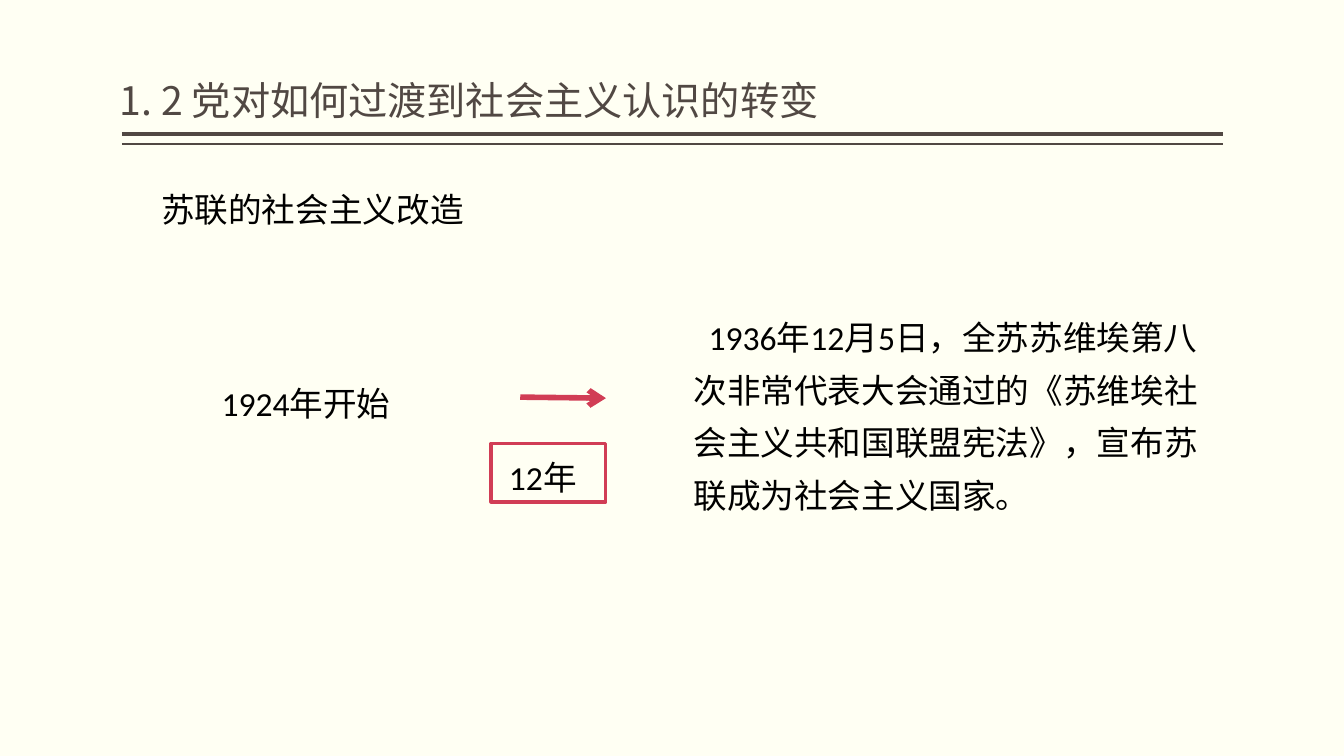
from lxml.etree import SubElement
from pptx import Presentation
from pptx.dml.color import RGBColor
from pptx.enum.shapes import MSO_CONNECTOR, MSO_SHAPE
from pptx.enum.text import MSO_ANCHOR, PP_ALIGN
from pptx.oxml.ns import qn
from pptx.util import Inches, Pt

INK, RED, PAPER, BLACK = "514843", "D13D55", "FFFFF3", "000000"
LATIN, HAN = "Calibri", "Noto Sans CJK SC"


def color(code):
    return RGBColor.from_string(code)


def write(shape, text, size=24, font=LATIN, fill=BLACK, space=1.3,
          indent=0, anchor=MSO_ANCHOR.TOP, inset=0.1):
    frame = shape.text_frame
    frame.word_wrap = True
    frame.vertical_anchor = anchor
    frame.margin_left = frame.margin_right = Inches(inset)
    para = frame.paragraphs[0]
    para.alignment = PP_ALIGN.LEFT
    para.line_spacing = space
    para._p.get_or_add_pPr().set("indent", str(Inches(indent)))
    run = para.add_run()
    run.text = text
    run.font.size = Pt(size)
    run.font.name = font
    run.font.color.rgb = color(fill)
    SubElement(run._r.get_or_add_rPr(), qn("a:ea"), typeface=HAN)


class Board:
    """Draws on one slide with a grid of tenth-inch columns and rows."""

    def __init__(self, deck):
        self.cell = Inches(0.1)
        self.slide = deck.slides.add_slide(deck.slide_layouts[6])
        back = self.slide.background.fill
        back.solid()
        back.fore_color.rgb = color(PAPER)

    def grid(self, *cells):
        return [round(n * self.cell) for n in cells]

    def label(self, text, *place, **style):
        write(self.slide.shapes.add_textbox(*self.grid(*place)), text, **style)

    def box(self, text, *place, **style):
        shape = self.slide.shapes.add_shape(MSO_SHAPE.RECTANGLE, *self.grid(*place))
        shape.shadow.inherit = False
        shape.fill.background()
        shape.line.color.rgb = color(RED)
        shape.line.width = Pt(2.25)
        write(shape, text, **style)

    def rule(self, *ends, fill=INK, width=1, head=None):
        line = self.slide.shapes.add_connector(MSO_CONNECTOR.STRAIGHT, *self.grid(*ends))
        line.line.color.rgb = color(fill)
        line.line.width = Pt(width)
        if head:
            SubElement(line.line._get_or_add_ln(), qn("a:tailEnd"), type=head)
        SubElement(line._element.spPr, qn("a:effectLst"))


def main():
    deck = Presentation()
    deck.slide_width, deck.slide_height = Inches(13.33), Inches(7.5)
    board = Board(deck)
    for row, width in ((13.3, 3), (14.3, 1)):
        board.rule(12.1, row, 121.3, row, width=width)
    board.label("1. 2 党对如何过渡到社会主义认识的转变", 11.9, 0.8, 109.2, 12,
                size=28, font=HAN, fill=INK, space=0.9,
                anchor=MSO_ANCHOR.BOTTOM, inset=0)
    board.label("苏联的社会主义改造", 11.9, 17.1, 48.2, 6.2, indent=0.31)
    board.box("12年", 48.7, 44, 11.4, 5.8, space=1.2, indent=0.08)
    board.label("1924年开始", 18.8, 36.3, 31.2, 6.2, indent=0.22)
    board.label("1936年12月5日，全苏苏维埃第八次非常代表大会通过的"
                "《苏维埃社会主义共和国联盟宪法》，宣布苏联成为社会主义国家。",
                67.8, 29.8, 53.3, 22, indent=0.15)
    board.rule(51.6, 39.4, 60.1, 39.5, fill=RED, width=4, head="arrow")
    deck.save("out.pptx")


if __name__ == "__main__":
    main()
